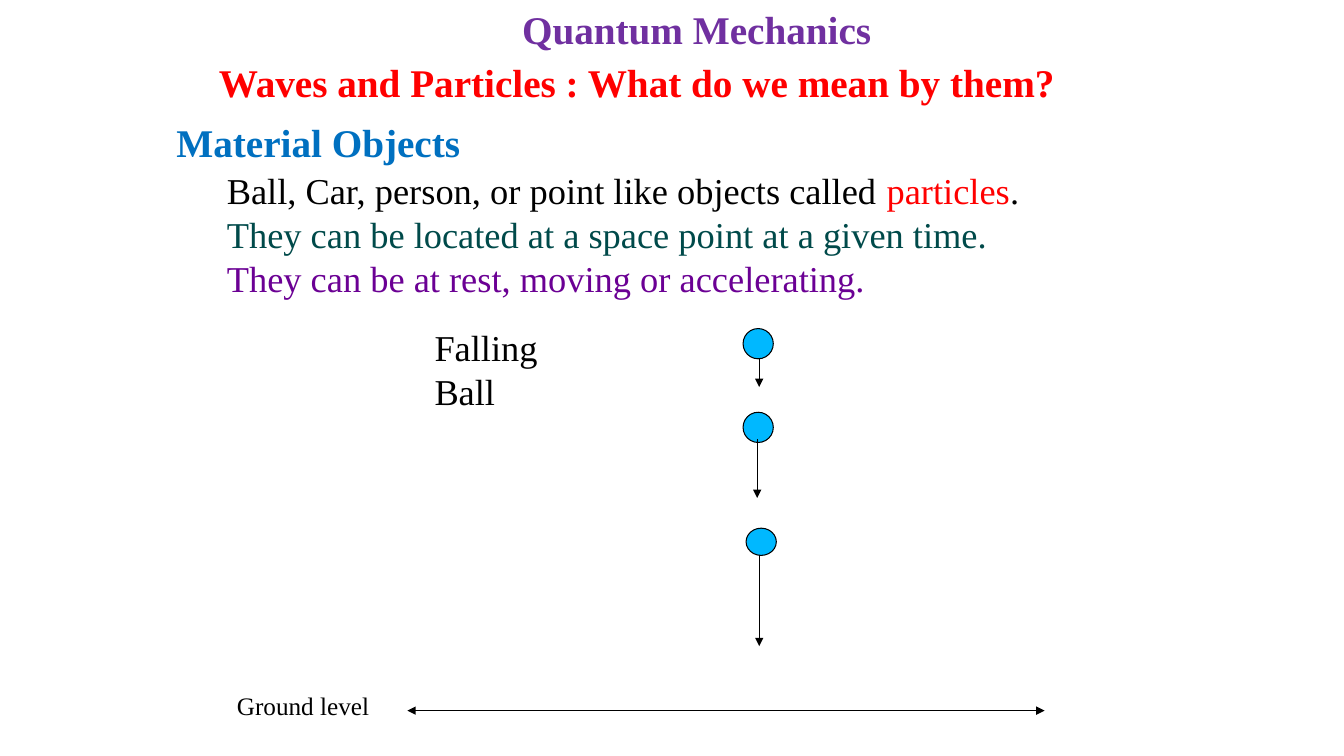
from lxml import etree
from pptx import Presentation
from pptx import util as u
from pptx.dml.color import RGBColor
from pptx.enum import shapes, text
from pptx.oxml.ns import qn

Inches = u.Inches
COLORS = {
    "purple": "7030A0",
    "red": "FF0000",
    "blue": "0070C0",
    "black": "000000",
    "teal": "004A4A",
    "violet": "6B0094",
    "ball": "00B8FF",
}

deck = Presentation()
deck.slide_width, deck.slide_height = Inches(13.33), Inches(7.5)
slide = deck.slides.add_slide(deck.slide_layouts[6])


def write(paragraphs, left, top, width, height, size=28, bold=False, inset=(0, 0)):
    box = slide.shapes.add_textbox(Inches(left), Inches(top), Inches(width), Inches(height))
    frame = box.text_frame
    frame.word_wrap = True
    frame.vertical_anchor = text.MSO_ANCHOR.TOP
    frame.margin_left = frame.margin_right = Inches(inset[0])
    frame.margin_top = frame.margin_bottom = Inches(inset[1])
    for index, pieces in enumerate(paragraphs):
        paragraph = frame.add_paragraph() if index else frame.paragraphs[0]
        for words, color in pieces:
            run = paragraph.add_run()
            run.text = words
            run.font.name = "Times New Roman"
            run.font.size = u.Pt(size)
            run.font.bold = bold
            run.font.color.rgb = RGBColor.from_string(COLORS[color])


def draw_arrow(x1, y1, x2, y2, ends=("tailEnd",)):
    arrow = slide.shapes.add_connector(
        shapes.MSO_CONNECTOR.STRAIGHT, Inches(x1), Inches(y1), Inches(x2), Inches(y2))
    arrow.line.width = u.Pt(0.75)
    arrow.line.color.rgb = RGBColor.from_string(COLORS["black"])
    outline = arrow.line._get_or_add_ln()
    for end in ends:
        etree.SubElement(outline, qn(f"a:{end}"), type="triangle")
    etree.SubElement(arrow._element.spPr, qn("a:effectLst"))


write([[("Quantum Mechanics", "purple")]], 5.08, 0, 3.8, 0.57, bold=True, inset=(0.1, 0.05))
write([[("Waves and Particles : What do we mean by them?", "red")]],
      2.17, 0.58, 8.78, 0.47, bold=True)
write([[("Material Objects", "blue")]], 1.75, 1.17, 3.04, 0.47, bold=True)
write([
    [("Ball, Car, person, or point like objects called ", "black"),
     ("particles", "red"), (".", "black")],
    [("They can be located at a space point at a given time.", "teal")],
    [("They can be at rest, moving or accelerating.", "violet")],
], 2.25, 1.67, 10, 1.3, size=26)
write([[("Falling Ball", "black")]], 4.31, 3.23, 1.5, 0.87, size=26)

falling_balls = [
    (7.37, 3.26, 0.3, 7.53, 3.56, 3.84),
    (7.37, 4.09, 0.3, 7.51, 4.36, 4.94),
    (7.4, 5.24, 0.27, 7.53, 5.51, 6.41),
]
for left, top, height, arrow_x, arrow_start, arrow_tip in falling_balls:
    ball = slide.shapes.add_shape(
        shapes.MSO_SHAPE.OVAL, Inches(left), Inches(top), Inches(0.3), Inches(height))
    ball.shadow.inherit = False
    ball.fill.solid()
    ball.fill.fore_color.rgb = RGBColor.from_string(COLORS["ball"])
    ball.line.color.rgb = RGBColor.from_string(COLORS["black"])
    ball.line.width = u.Pt(0.75)
    draw_arrow(arrow_x, arrow_start, arrow_x, arrow_tip)

draw_arrow(4.04, 7.05, 10.36, 7.05, ends=("headEnd", "tailEnd"))
write([[("Ground level", "black")]], 2.35, 6.85, 1.37, 0.3, size=18)

deck.save("out.pptx")
